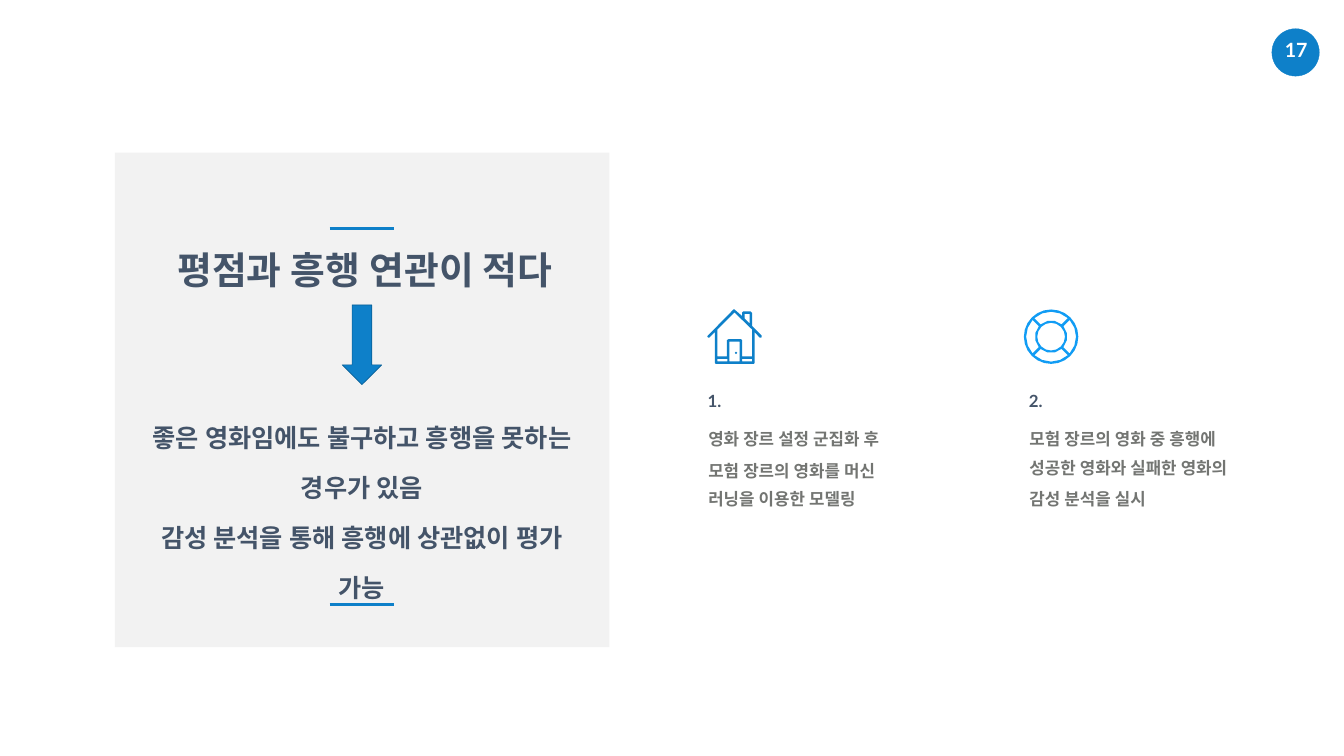
from dataclasses import dataclass
from math import asin, cos, pi, sin

from lxml.etree import SubElement
from pptx import Presentation
from pptx.dml.color import RGBColor
from pptx.enum.shapes import MSO_CONNECTOR, MSO_SHAPE
from pptx.enum.text import MSO_ANCHOR, MSO_AUTO_SIZE, PP_ALIGN
from pptx.oxml.ns import qn
from pptx.util import Pt

EMU_PER_PX = 9144


@dataclass(frozen=True)
class Theme:
    font: str = "Lato"
    blue: str = "0E80C9"
    bright_blue: str = "119CF4"
    dark_blue: str = "0A5F95"
    panel: str = "F2F2F2"
    heading: str = "445469"
    body: str = "737572"
    white: str = "FFFFFF"
    title_size: int = 54
    message_size: int = 36
    number_size: int = 28
    body_size: int = 24


THEME = Theme()


def px(*values):
    return [round(value * EMU_PER_PX) for value in values]


def paint(shape, fill, line=None, width=0):
    shape.shadow.inherit = False
    shape.fill.solid()
    shape.fill.fore_color.rgb = RGBColor.from_string(fill)
    if line:
        shape.line.color.rgb = RGBColor.from_string(line)
        shape.line.width = Pt(width)
    else:
        shape.line.fill.background()


def add_block(slide, kind, box, fill, line=None, width=0):
    shape = slide.shapes.add_shape(kind, *px(*box))
    paint(shape, fill, line, width)


def format_run(run, size, color):
    run.font.name = THEME.font
    run.font.size = Pt(size)
    run.font.bold = True
    run.font.color.rgb = RGBColor.from_string(color)
    for script in ("a:ea", "a:cs"):
        SubElement(run._r.get_or_add_rPr(), qn(script), typeface=THEME.font)


def add_text(slide, box, lines, size, color, align=PP_ALIGN.LEFT, inset=(10, 5),
             spacing=None, before=None, wrap=True, anchor=MSO_ANCHOR.TOP):
    text_frame = slide.shapes.add_textbox(*px(*box)).text_frame
    text_frame.word_wrap = wrap
    text_frame.auto_size = MSO_AUTO_SIZE.SHAPE_TO_FIT_TEXT
    text_frame.vertical_anchor = anchor
    horizontal, vertical = px(*inset)
    text_frame.margin_left = text_frame.margin_right = horizontal
    text_frame.margin_top = text_frame.margin_bottom = vertical
    text_frame.text = "\n".join(lines)
    for paragraph in text_frame.paragraphs:
        paragraph.alignment = align
        if spacing:
            paragraph.line_spacing = Pt(spacing)
        if before:
            paragraph.space_before = Pt(before)
        for run in paragraph.runs:
            format_run(run, size, color)


def add_rule(group, left, right, y):
    rule = group.shapes.add_connector(MSO_CONNECTOR.STRAIGHT, *px(left, y, right, y))
    rule.line.color.rgb = RGBColor.from_string(THEME.blue)
    rule.line.width = Pt(4.5)
    SubElement(rule._element.spPr, qn("a:effectLst"))


def add_outline(slide, contours, fill):
    first, *others = [[px(*point) for point in contour] for contour in contours]
    builder = slide.shapes.build_freeform(*first[0], scale=1.0)
    builder.add_line_segments(first[1:], close=True)
    for contour in others:
        builder.move_to(*contour[0])
        builder.add_line_segments(contour[1:], close=True)
    paint(builder.convert_to_shape(), fill)


def rectangle(left, top, right, bottom):
    return [(left, top), (right, top), (right, bottom), (left, bottom)]


def arc(center, radius, start, end, steps):
    x, y = center
    angles = [start + (end - start) * step / steps for step in range(steps + 1)]
    return [(x + radius * cos(angle), y + radius * sin(angle)) for angle in angles]


def circle(center, radius, sides):
    return arc(center, radius, 0, 2 * pi, sides)[:-1]


def add_house(slide):
    silhouette = [
        (1457, 614), (1472, 627), (1472, 620), (1474, 618), (1489, 618), (1492, 621),
        (1492, 647), (1511, 666), (1511, 669), (1509, 670), (1507, 670), (1497, 659),
        (1497, 720), (1495, 722), (1420, 722), (1418, 720), (1418, 659), (1407, 670),
        (1405, 670), (1403, 668), (1404, 666), (1455, 614),
    ]
    walls = [
        (1492, 707), (1472, 707), (1472, 675), (1470, 673), (1445, 673), (1442, 675),
        (1442, 707), (1423, 707), (1423, 654), (1457, 620), (1492, 654),
    ]
    chimney = [(1477, 623), (1487, 623), (1487, 642), (1477, 632)]
    door = rectangle(1447, 678, 1467, 717)
    steps = [rectangle(left, 712, left + 20, 717) for left in (1423, 1472)]
    knob = circle((1460, 700), 2.5, 4)
    add_outline(slide, [silhouette, walls, chimney, door, *steps, knob], THEME.blue)


def add_lifebuoy(slide):
    center, half_spoke = (2085, 668), 2.5
    rim, outer, inner, hole = 54, 49.5, 32, 27.5
    contours = [circle(center, rim, 24), circle(center, hole, 16)]
    outer_gap, inner_gap = asin(half_spoke / outer), asin(half_spoke / inner)
    for quarter in range(4):
        start = pi / 4 + quarter * pi / 2
        end = start + pi / 2
        contours.append(
            arc(center, outer, start + outer_gap, end - outer_gap, 4)
            + arc(center, inner, end - inner_gap, start + inner_gap, 3)
        )
    add_outline(slide, contours, THEME.bright_blue)


def add_step(slide, left, width, height, number, lines):
    add_text(slide, (left, 823, width, height), lines, THEME.body_size, THEME.body,
             inset=(24, 12), spacing=40.4, before=4.8)
    add_text(slide, (left + 13, 771, 48, 50), [number], THEME.body_size, THEME.heading,
             wrap=False, anchor=MSO_ANCHOR.MIDDLE)


def add_page_number(slide, number):
    add_block(slide, MSO_SHAPE.OVAL, (2523, 57, 94, 94), THEME.blue, THEME.blue, 0.5)
    add_text(slide, (2527, 66, 88, 67), [number], THEME.number_size, THEME.white,
             PP_ALIGN.CENTER, inset=(20, 10), wrap=False)


def add_message(slide):
    rules = slide.shapes.add_group_shape()
    for y in (1199, 453):
        add_rule(rules, 654, 782, y)
    add_text(slide, (281, 476, 886, 110), ["평점과 흥행 연관이 적다"],
             THEME.title_size, THEME.heading, PP_ALIGN.CENTER, spacing=71.2)
    add_block(slide, MSO_SHAPE.DOWN_ARROW, (679, 605, 78, 158),
              THEME.blue, THEME.dark_blue, 1)
    add_text(slide, (275, 794, 886, 408),
             ["좋은 영화임에도 불구하고 흥행을 못하는 경우가 있음",
              "감성 분석을 통해 흥행에 상관없이 평가 가능"],
             THEME.message_size, THEME.heading, PP_ALIGN.CENTER, spacing=71.2)


def main():
    presentation = Presentation()
    presentation.slide_width, presentation.slide_height = px(2666, 1500)
    slide = presentation.slides.add_slide(presentation.slide_layouts[6])
    add_page_number(slide, "17")
    add_block(slide, MSO_SHAPE.RECTANGLE, (228, 303, 981, 981), THEME.panel)
    add_step(slide, 2018, 477, 194, "2.",
             ["모험 장르의 영화 중 흥행에 성공한 영화와 실패한 영화의", "감성 분석을 실시"])
    add_step(slide, 1381, 447, 200, "1.",
             ["영화 장르 설정 군집화 후", "모험 장르의 영화를 머신 러닝을 이용한 모델링"])
    add_house(slide)
    add_lifebuoy(slide)
    add_message(slide)
    presentation.save("out.pptx")


if __name__ == "__main__":
    main()
